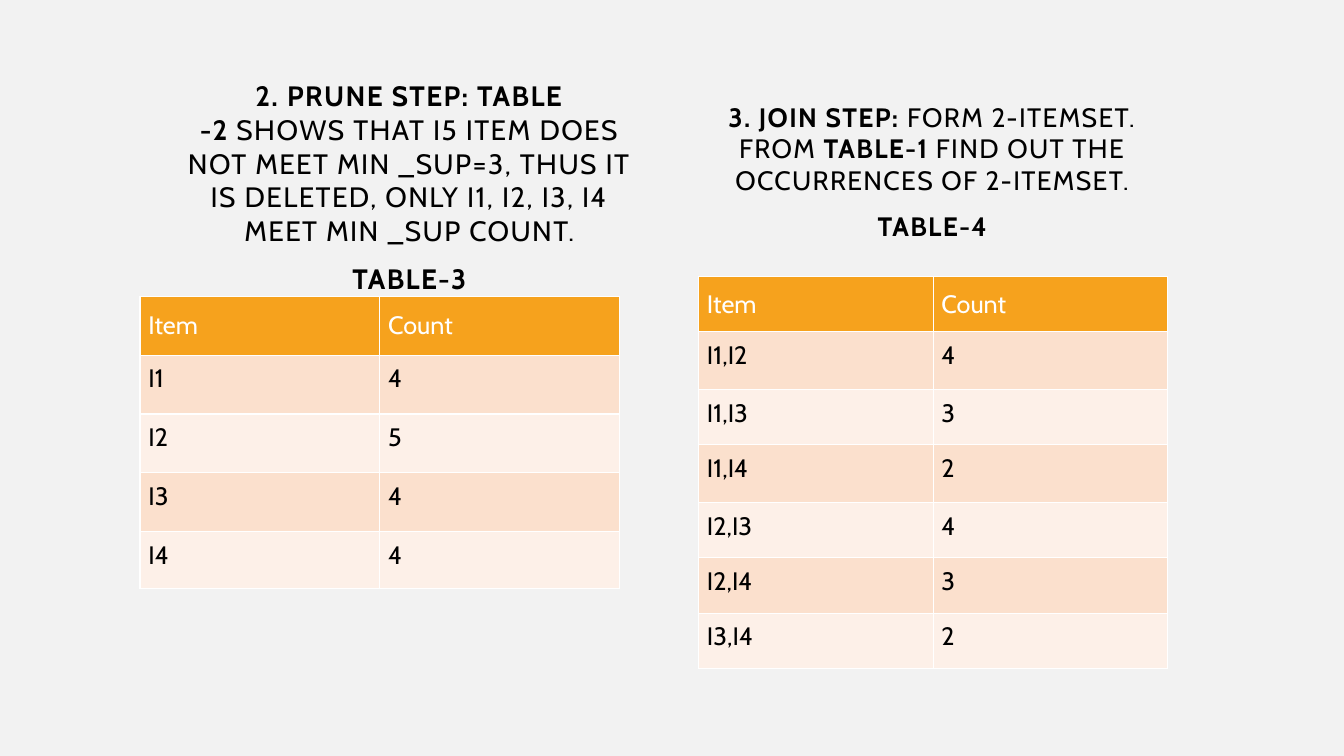
from lxml.etree import SubElement
from pptx import Presentation
from pptx.dml.color import RGBColor
from pptx.enum.text import MSO_ANCHOR, MSO_AUTO_SIZE, PP_ALIGN
from pptx.oxml.ns import qn
from pptx.util import Pt

FONT = "Cabin"
WHITE, BLACK, ORANGE = "FFFFFF", "000000", "F6A21D"
BANDS = ("FBE0CD", "FDF0E8")


def rgb(value):
    """Turn a hex string into a colour."""
    return RGBColor.from_string(value)


def format_run(r, size, color, bold=False):
    """Set the font of a run."""
    r.font.name = FONT
    r.font.size = Pt(size)
    r.font.bold = bold
    r.font.color.rgb = rgb(color)


def add_step(sp, box, size, paragraphs):
    """Fill a body placeholder with paragraphs of (text, bold) runs."""
    sp.left, sp.top, sp.width, sp.height = map(Pt, box)
    tf = sp.text_frame
    tf.word_wrap = True
    tf.auto_size = MSO_AUTO_SIZE.NONE
    tf.vertical_anchor = MSO_ANCHOR.BOTTOM
    tf.margin_bottom = Pt(27)
    for i, runs in enumerate(paragraphs):
        p = tf.add_paragraph() if i else tf.paragraphs[0]
        p.alignment = PP_ALIGN.CENTER
        p.space_before = Pt(10 if i else 0)
        for text, bold in runs:
            for j, line in enumerate(text.split("\n")):
                if j:
                    p.add_line_break()
                r = p.add_run()
                r.text = line
                format_run(r, size, BLACK, bold)
                r.font._element.set("spc", "100")


def set_borders(cell):
    """Draw white borders round a cell."""
    tcPr = cell._tc.get_or_add_tcPr()
    for i, side in enumerate("LRTB"):
        ln = tcPr.makeelement(qn(f"a:ln{side}"), {"w": str(Pt(1))})
        fill = SubElement(ln, qn("a:solidFill"))
        SubElement(fill, qn("a:srgbClr"), val=WHITE)
        tcPr.insert(i, ln)


def add_count_table(slide, left, top, col_width, heights, rows):
    """Add an item and count table with a header and banded rows."""
    frame = slide.shapes.add_table(len(rows), 2, Pt(left), Pt(top),
                                   Pt(2 * col_width), Pt(sum(heights)))
    table = frame.table
    for col in table.columns:
        col.width = Pt(col_width)
    for i, (height, values) in enumerate(zip(heights, rows)):
        table.rows[i].height = Pt(height)
        for cell, value in zip(table.rows[i].cells, values):
            cell.text_frame.text = value
            format_run(cell.text_frame.paragraphs[0].runs[0], 18,
                       BLACK if i else WHITE)
            cell.margin_left = cell.margin_right = Pt(6)
            cell.margin_top = cell.margin_bottom = Pt(6)
            cell.vertical_anchor = MSO_ANCHOR.TOP if i else MSO_ANCHOR.MIDDLE
            cell.fill.solid()
            cell.fill.fore_color.rgb = rgb(BANDS[(i - 1) % 2] if i else ORANGE)
            set_borders(cell)


def main():
    """Build the slide and save it."""
    prs = Presentation()
    prs.slide_width, prs.slide_height = Pt(960), Pt(540)
    slide = prs.slides.add_slide(prs.slide_layouts.get_by_name("Comparison"))
    slide.background.fill.solid()
    slide.background.fill.fore_color.rgb = rgb("F2F2F2")
    title, prune, left_content, join, right_content = slide.placeholders
    for sp in (title, left_content, right_content):
        sp._element.getparent().remove(sp._element)

    add_step(prune, (124.5, 182, 336, 55.5), 20, [
        [("2. PRUNE STEP: TABLE\n-2", True),
         (" SHOWS THAT I5 ITEM DOES NOT MEET MIN _SUP=3, THUS IT IS DELETED, "
          "ONLY I1, I2, I3, I4 MEET MIN _SUP COUNT.", False)],
        [("TABLE-3", True)]])
    add_step(join, (494.5, 6.5, 343, 193.5), 19, [
        [("3. JOIN STEP:", True), (" FORM 2-ITEMSET. FROM ", False),
         ("TABLE-1 ", True),
         ("FIND OUT THE OCCURRENCES OF 2-ITEMSET.", False)],
        [("TABLE-4", True)]])

    header = ("Item", "Count")
    add_count_table(slide, 100, 211.7, 171.3, [42, 42, 42, 42, 41], [
        header, ("I1", "4"), ("I2", "5"), ("I3", "4"), ("I4", "4")])
    add_count_table(slide, 499, 197.5, 167.5,
                    [39.5, 41.3, 39.5, 41.3, 39.5, 39.5, 39.5], [
        header, ("I1,I2", "4"), ("I1,I3", "3"), ("I1,I4", "2"),
        ("I2,I3", "4"), ("I2,I4", "3"), ("I3,I4", "2")])
    prs.save("out.pptx")


if __name__ == "__main__":
    main()
